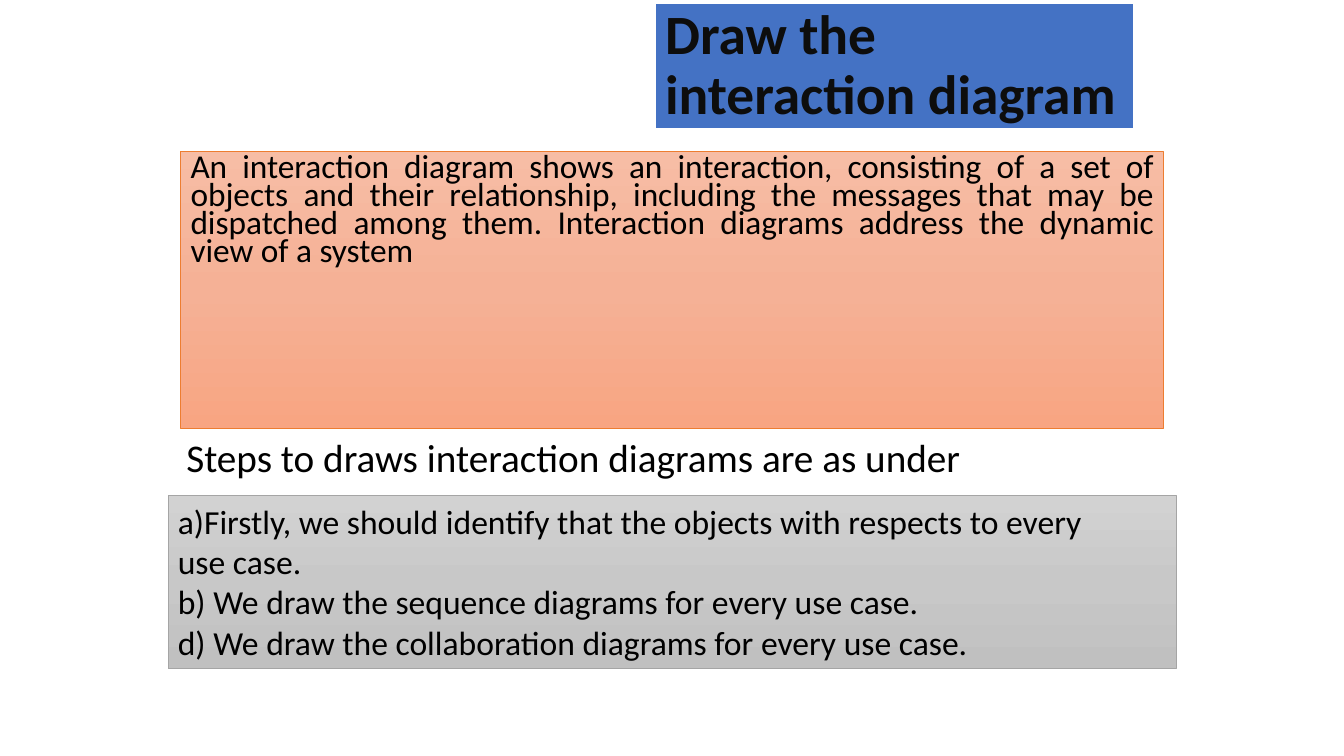
import copy
from dataclasses import dataclass

import pptx
import pptx.dml.color
import pptx.enum.shapes
import pptx.enum.text
import pptx.oxml.ns
import pptx.util

Pt = pptx.util.Pt
Anchor = pptx.enum.text.MSO_ANCHOR
Align = pptx.enum.text.PP_ALIGN


@dataclass(frozen=True)
class Theme:
    font: str = "Calibri"
    text: str = "000000"
    title_text: str = "0D0D0D"
    title_fill: str = "4472C4"
    title_line: str = "FFFFFF"
    definition_fill: tuple = ("F7BDA5", "F5B196", "F8A582")
    definition_line: str = "ED7D31"
    steps_fill: tuple = ("D2D2D2", "C8C8C8", "C0C0C0")
    steps_line: str = "A5A5A5"
    title_size: float = 39.6
    definition_size: float = 23.8
    heading_size: float = 28
    steps_size: float = 24


def rgb(color):
    return pptx.dml.color.RGBColor.from_string(color)


class SlideBuilder:
    def __init__(self, slide, theme):
        self.slide = slide
        self.theme = theme

    def add_text(self, shape, lines, size, color=None, bold=False,
                 align=Align.LEFT, spacing=1.0, anchor=Anchor.TOP):
        frame = shape.text_frame
        frame.word_wrap = True
        frame.vertical_anchor = anchor
        frame.text = "\n".join(lines)
        for paragraph in frame.paragraphs:
            paragraph.alignment = align
            paragraph.line_spacing = spacing
            paragraph.font.name = self.theme.font
            paragraph.font.size = Pt(size)
            paragraph.font.bold = bold
            paragraph.font.color.rgb = rgb(color or self.theme.text)

    def panel(self, left, top, width, height, line, line_width):
        shape = self.slide.shapes.add_shape(
            pptx.enum.shapes.MSO_SHAPE.RECTANGLE,
            Pt(left), Pt(top), Pt(width), Pt(height))
        shape.shadow.inherit = False
        shape.line.color.rgb = rgb(line)
        shape.line.width = Pt(line_width)
        return shape

    def solid_panel(self, left, top, width, height, fill, line, line_width):
        shape = self.panel(left, top, width, height, line, line_width)
        shape.fill.solid()
        shape.fill.fore_color.rgb = rgb(fill)
        return shape

    def gradient_panel(self, left, top, width, height, colors, line, line_width):
        shape = self.panel(left, top, width, height, line, line_width)
        shape.fill.gradient()
        shape.fill.gradient_angle = 270
        stop_list = shape._element.spPr.find(
            ".//" + pptx.oxml.ns.qn("a:gsLst"))
        stop_list.insert(1, copy.deepcopy(stop_list[0]))
        for index, stop in enumerate(shape.fill.gradient_stops):
            stop.position = index / (len(colors) - 1)
            stop.color.rgb = rgb(colors[index])
        return shape

    def text_box(self, left, top, width, height):
        return self.slide.shapes.add_textbox(
            Pt(left), Pt(top), Pt(width), Pt(height))


def main():
    theme = Theme()
    presentation = pptx.Presentation()
    presentation.slide_width = Pt(960)
    presentation.slide_height = Pt(540)
    slide = presentation.slides.add_slide(presentation.slide_layouts[6])
    builder = SlideBuilder(slide, theme)

    title = builder.solid_panel(
        468, 2.4, 342, 90, theme.title_fill, theme.title_line, 1.5)
    builder.add_text(title, ["Draw the interaction diagram"], theme.title_size,
                     theme.title_text, bold=True, spacing=0.9,
                     anchor=Anchor.MIDDLE)

    definition = builder.gradient_panel(
        129, 108, 702, 198, theme.definition_fill, theme.definition_line, 0.5)
    builder.add_text(definition, [
        "An interaction diagram shows an interaction, consisting of a set of "
        "objects and their relationship, including the messages that may be "
        "dispatched among them. Interaction diagrams address the dynamic "
        "view of a system",
    ], theme.definition_size, align=Align.JUSTIFY, spacing=0.7)

    heading = builder.text_box(126, 306, 684, 41.2)
    builder.add_text(heading,
                     ["Steps to draws interaction diagrams are as under"],
                     theme.heading_size)

    steps = builder.gradient_panel(
        120, 354, 720, 123.6, theme.steps_fill, theme.steps_line, 0.5)
    builder.add_text(steps, [
        "a)Firstly, we should identify that the objects with respects to every",
        "use case.",
        "b) We draw the sequence diagrams for every use case.",
        "d) We draw the collaboration diagrams for every use case.",
    ], theme.steps_size)

    presentation.save("out.pptx")


if __name__ == "__main__":
    main()
